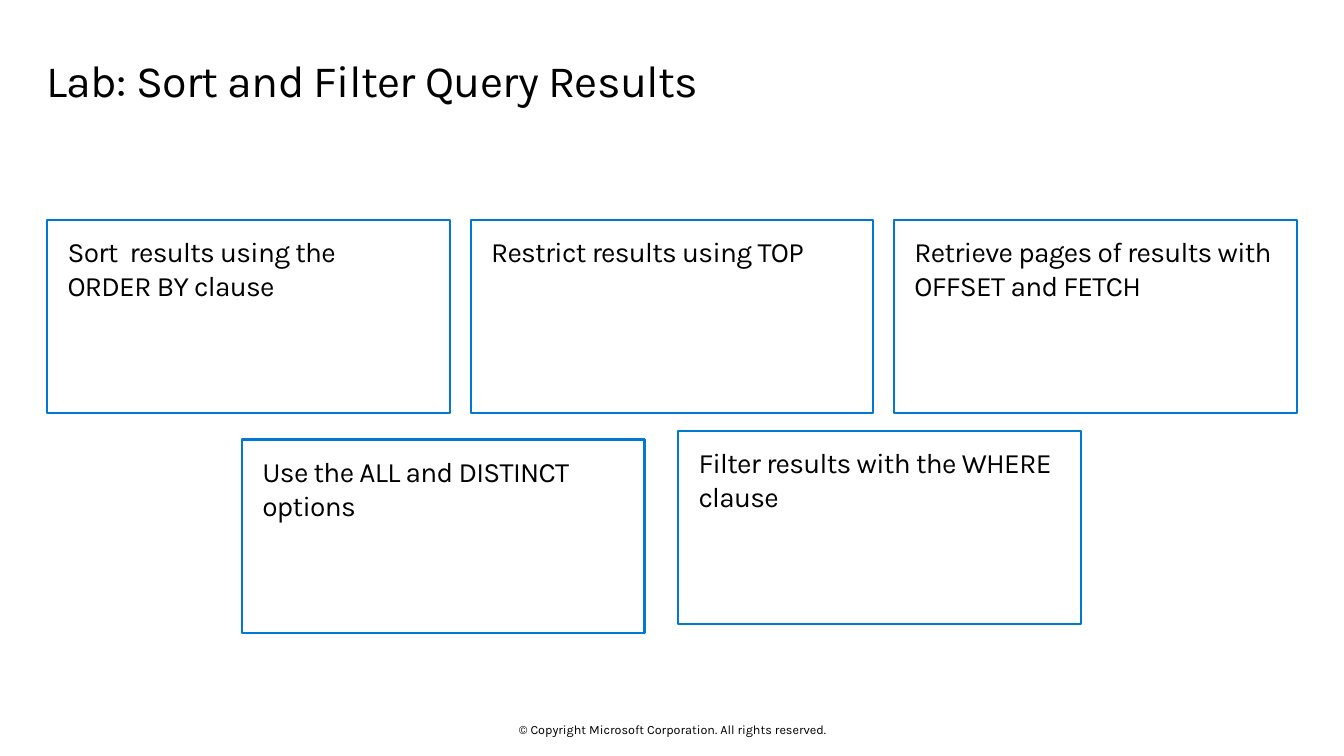
import pptx
import pptx.dml.color
import pptx.enum.shapes
import pptx.enum.text
import pptx.util

INCH = pptx.util.Inches
ALIGN = pptx.enum.text.PP_ALIGN
ANCHOR = pptx.enum.text.MSO_ANCHOR


def tint(code):
    return pptx.dml.color.RGBColor.from_string(code)


class Deck:
    font = "Karla"
    ink = "000000"
    edge = "0078D4"
    left, top = 0.47, 2.18
    step_x, step_y = 4.2, 2.18
    wide, high = 3.99, 1.92

    def __init__(self):
        self.prs = pptx.Presentation()
        self.prs.slide_width = INCH(13.33)
        self.prs.slide_height = INCH(7.5)
        self.slide = self.prs.slides.add_slide(self.prs.slide_layouts[5])

    def label(self, shape, text, size, pad, align=ALIGN.LEFT, anchor=ANCHOR.TOP, track=0):
        frame = shape.text_frame
        frame.text = text
        frame.word_wrap = True
        frame.auto_size = pptx.enum.text.MSO_AUTO_SIZE.NONE
        frame.vertical_anchor = anchor
        frame.margin_left, frame.margin_top, frame.margin_right, frame.margin_bottom = map(INCH, pad)
        para = frame.paragraphs[0]
        para.alignment = align
        for run in para.runs:
            run.font.name = self.font
            run.font.size = pptx.util.Pt(size)
            run.font.color.rgb = tint(self.ink)
            if track:
                run._r.get_or_add_rPr().set("spc", str(track))
        return para

    def title(self, text):
        shape = self.slide.shapes.title
        shape.left, shape.top, shape.width, shape.height = map(INCH, (0.46, 0.48, 12.4, 0.74))
        para = self.label(shape, text, 32, (0, 0.1, 0.16, 0.1), track=-50)
        para.line_spacing = 0.9

    def card(self, text, col, row):
        spot = (self.left + col * self.step_x, self.top + row * self.step_y, self.wide, self.high)
        shape = self.slide.shapes.add_shape(
            pptx.enum.shapes.MSO_SHAPE.RECTANGLE, *map(INCH, spot))
        shape.shadow.inherit = False
        shape.fill.background()
        shape.line.color.rgb = tint(self.edge)
        shape.line.width = pptx.util.Pt(1.5)
        self.label(shape, text, 20, (0.2, 0.15, 0.2, 0.1), track=-50)

    def footer(self, text):
        shape = self.slide.shapes.add_textbox(*map(INCH, (4.42, 7.16, 4.5, 0.15)))
        self.label(shape, text, 9, (0, 0, 0, 0), ALIGN.CENTER, ANCHOR.MIDDLE)


def main():
    deck = Deck()
    deck.footer("© Copyright Microsoft Corporation. All rights reserved.")
    deck.title("Lab: Sort and Filter Query Results")
    tasks = [
        ("Sort  results using the \vORDER BY clause", 0, 0),
        ("Restrict results using TOP", 1, 0),
        ("Retrieve pages of results with OFFSET and FETCH", 2, 0),
        ("Use the ALL and DISTINCT options", 0.46, 1),
        ("Filter results with the WHERE clause", 1.49, 0.96),
    ]
    for text, col, row in tasks:
        deck.card(text, col, row)
    deck.prs.save("out.pptx")


if __name__ == "__main__":
    main()
